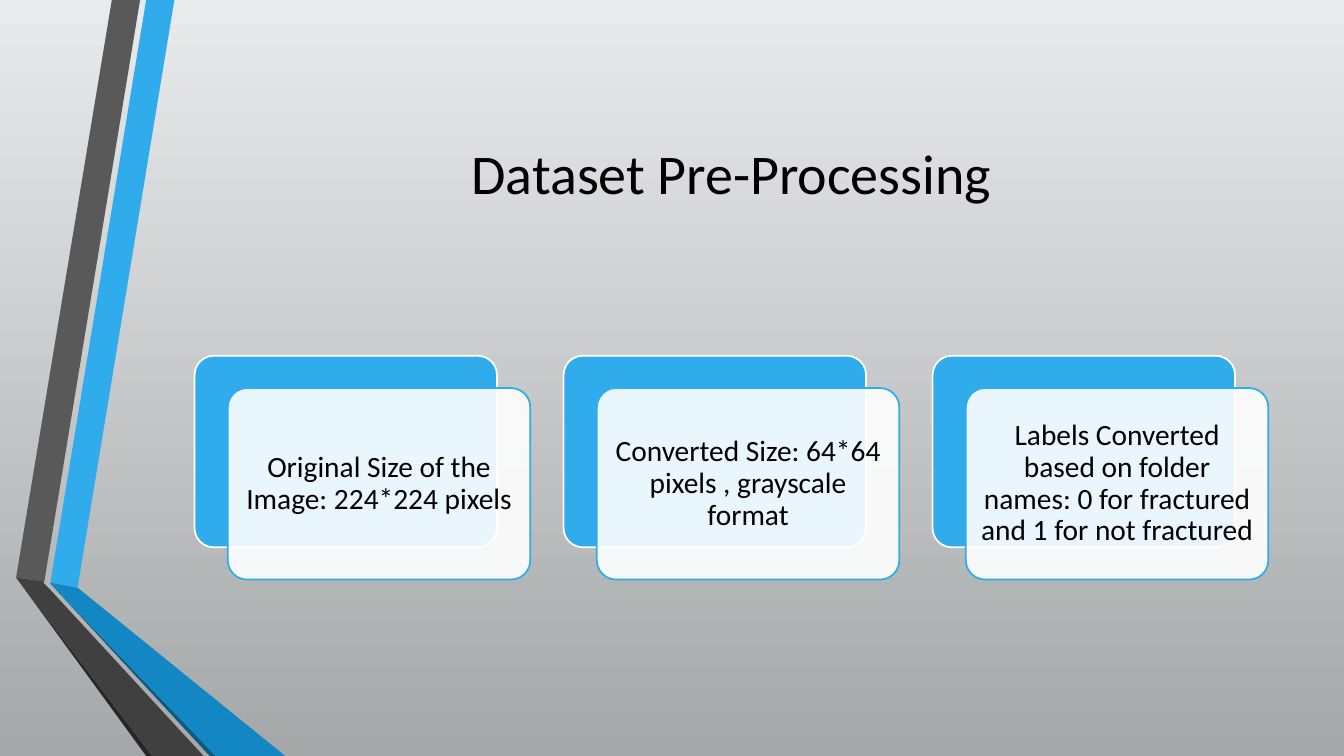
from lxml import etree
from pptx import Presentation
from pptx.dml.color import RGBColor
from pptx.enum import shapes, text
from pptx.oxml.ns import qn
from pptx.util import Inches, Pt

BLACK = RGBColor(0x00, 0x00, 0x00)
WHITE = RGBColor(0xFF, 0xFF, 0xFF)
BLUE = RGBColor(0x30, 0xAC, 0xEC)
MID_BLUE = RGBColor(0x12, 0x87, 0xC3)
DEEP_BLUE = RGBColor(0x0C, 0x5A, 0x82)
GREY = RGBColor(0x59, 0x59, 0x59)
DARK_GREY = RGBColor(0x40, 0x40, 0x40)
NEAR_BLACK = RGBColor(0x26, 0x26, 0x26)
SKY_TOP = RGBColor(0xE9, 0xEA, 0xEB)
SKY_BOTTOM = RGBColor(0xA5, 0xA8, 0xA9)

# Ribbon facets, measured from the ribbon's top-left corner
RIBBON_FACETS = [
    (BLUE, [(0.34, 5.78), (0.61, 5.83), (1.57, 0), (1.29, 0)]),
    (GREY, [(1.23, 0), (0.95, 0), (0, 5.73), (0.28, 5.77)]),
    (NEAR_BLACK, [(0, 5.73), (1.29, 7.5), (1.35, 7.5)]),
    (DEEP_BLUE, [(0.34, 5.79), (1.92, 7.5), (1.98, 7.5)]),
    (MID_BLUE, [(0.34, 5.79), (1.98, 7.5), (2.67, 7.5), (0.61, 5.83), (0.34, 5.78)]),
    (DARK_GREY, [(1.86, 7.5), (0.32, 5.83), (0.27, 5.78), (0.28, 5.77),
                 (0, 5.73), (1.35, 7.5)]),
]

STEPS = [
    "Original Size of the Image: 224*224 pixels",
    "Converted Size: 64*64 pixels , grayscale format",
    "Labels Converted based on folder names: 0 for fractured and 1 for not fractured",
]


def write_text(shape, content, *, size, color=BLACK, font="Calibri",
               line_spacing=1.0, inset=0.1):
    frame = shape.text_frame
    frame.word_wrap = True
    frame.vertical_anchor = text.MSO_ANCHOR.MIDDLE
    frame.margin_left = frame.margin_right = Inches(inset)
    frame.margin_top = frame.margin_bottom = Inches(inset)
    paragraph = frame.paragraphs[0]
    paragraph.text = content
    paragraph.alignment = text.PP_ALIGN.CENTER
    paragraph.line_spacing = line_spacing
    paragraph.font.name = font
    paragraph.font.size = Pt(size)
    paragraph.font.color.rgb = color


def paint_background(slide):
    fill = slide.background.fill
    fill.gradient()
    fill.gradient_angle = 270
    for stop, color in zip(fill.gradient_stops, (SKY_TOP, SKY_BOTTOM)):
        stop.color.rgb = color


def draw_ribbon(slide, left, top):
    for color, points in RIBBON_FACETS:
        corners = [(Inches(left + x), Inches(top + y)) for x, y in points]
        builder = slide.shapes.build_freeform(*corners[0])
        builder.add_line_segments(corners[1:], close=True)
        facet = builder.convert_to_shape()
        facet.shadow.inherit = False
        facet.fill.solid()
        facet.fill.fore_color.rgb = color
        facet.line.fill.background()


def draw_title(slide, left, top, width, height):
    title = slide.shapes.add_textbox(*map(Inches, (left, top, width, height)))
    write_text(title, "Dataset Pre-Processing", size=40)


def add_panel(slide, left, top, width, height, fill, line, opacity=100):
    panel = slide.shapes.add_shape(shapes.MSO_SHAPE.ROUNDED_RECTANGLE,
                                   *map(Inches, (left, top, width, height)))
    panel.adjustments[0] = 0.1
    panel.shadow.inherit = False
    panel.fill.solid()
    panel.fill.fore_color.rgb = fill
    panel.line.color.rgb = line
    panel.line.width = Pt(1.25)
    if opacity < 100:
        color = panel.fill._xPr.find(qn("a:solidFill"))[0]
        etree.SubElement(color, qn("a:alpha")).set("val", str(opacity * 1000))
    return panel


def draw_steps(slide, left, top, width, height):
    card_width, card_height = 3, 1.9
    shift_x, shift_y = width - 2 * 3.66 - card_width, height - card_height
    for index, step in enumerate(STEPS):
        x = left + index * 3.66
        # Blue panel behind, translucent card with the wording in front
        add_panel(slide, x, top, card_width, card_height, BLUE, WHITE)
        card = add_panel(slide, x + shift_x, top + shift_y, card_width,
                         card_height, WHITE, BLUE, opacity=90)
        write_text(card, step, size=21, line_spacing=0.9, inset=0.09)


def main():
    deck = Presentation()
    deck.slide_width, deck.slide_height = Inches(13.33), Inches(7.5)
    slide = deck.slides.add_slide(deck.slide_layouts[6])
    paint_background(slide)
    draw_ribbon(slide, 0.16, 0)
    draw_title(slide, 1.93, 0.75, 10.65, 1.92)
    draw_steps(slide, 1.93, 3.53, 10.65, 2.22)
    deck.save("out.pptx")


if __name__ == "__main__":
    main()
